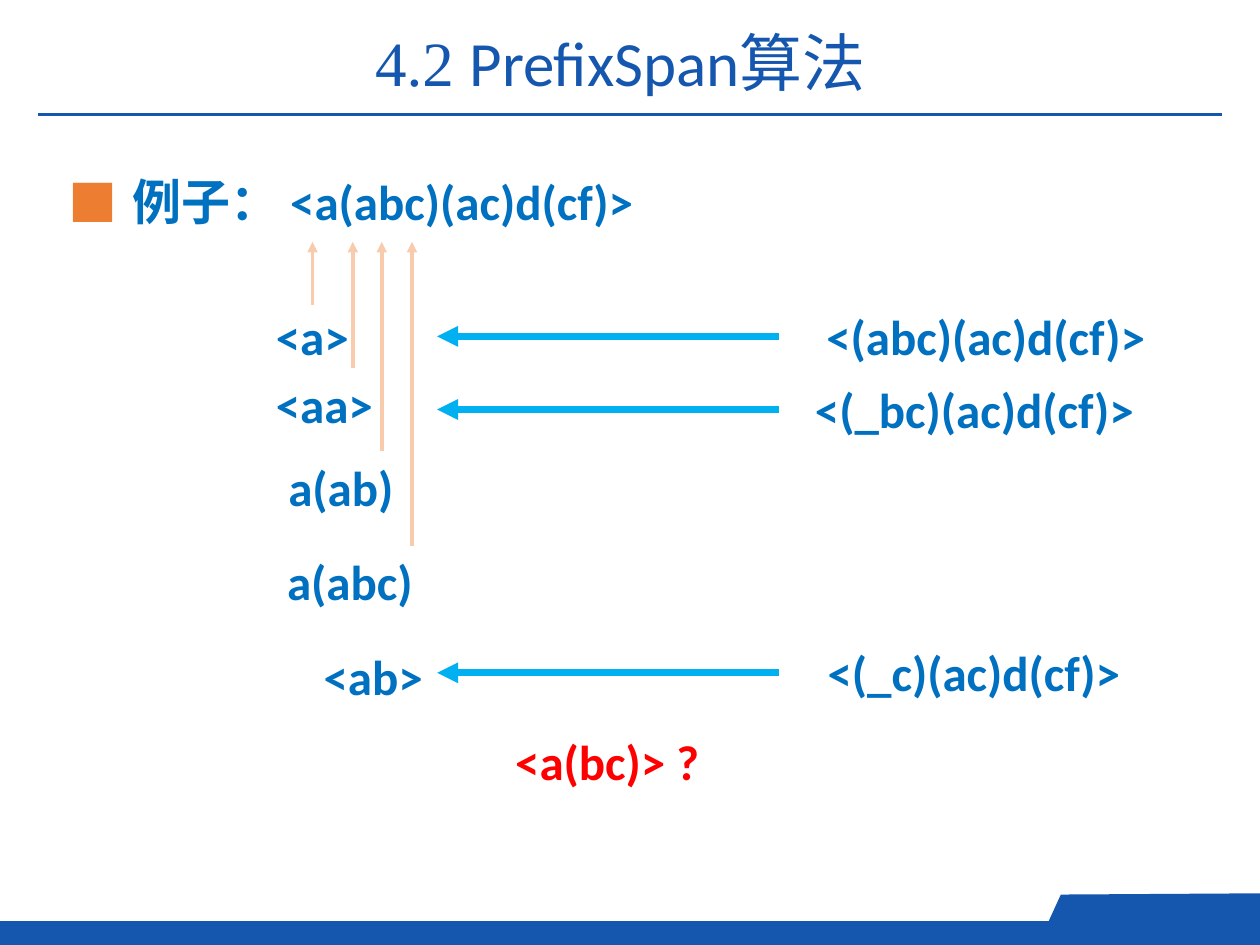
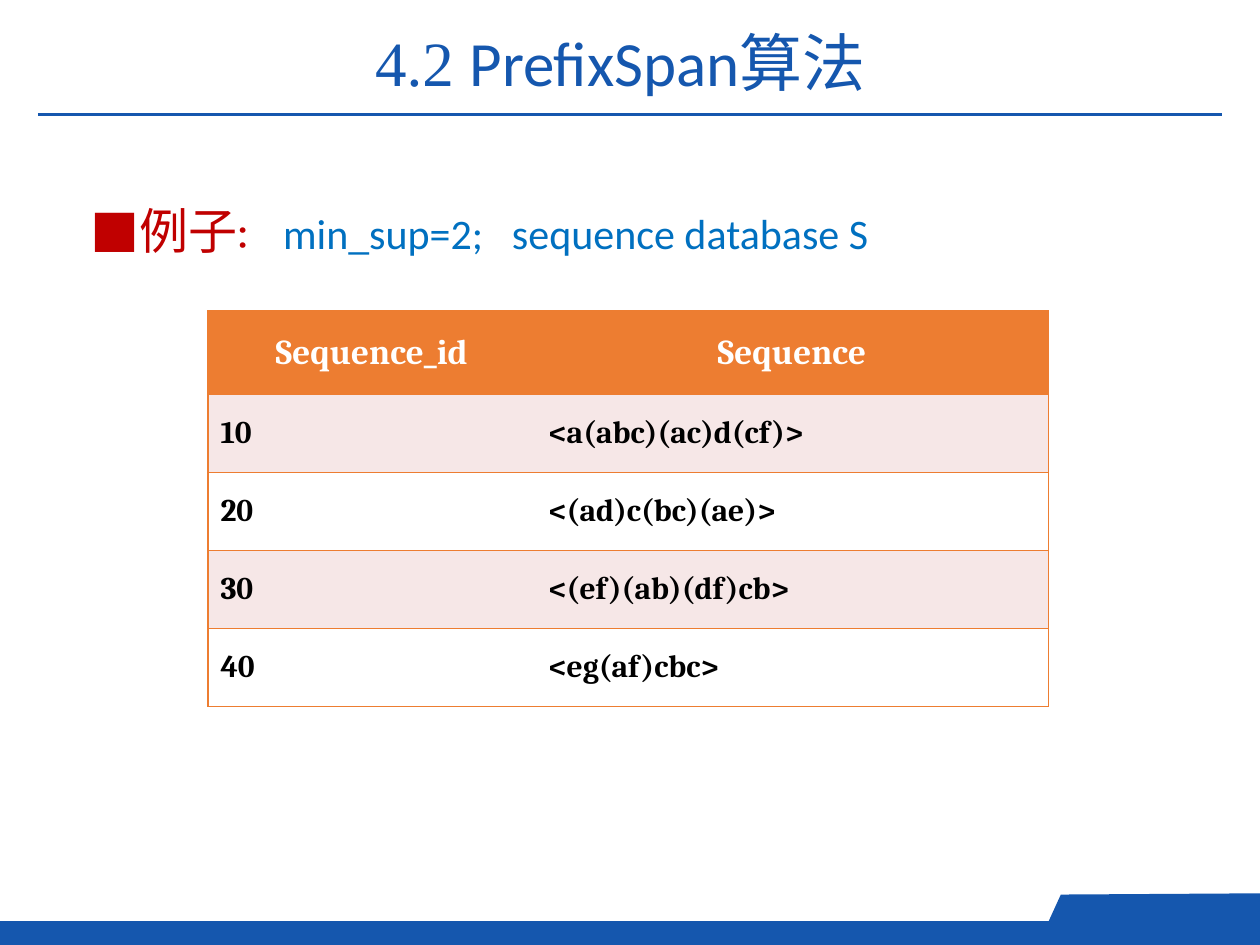
from pptx import Presentation
from pptx.dml.color import RGBColor
from pptx.enum.shapes import MSO_CONNECTOR, MSO_SHAPE
from pptx.enum.text import MSO_ANCHOR, MSO_AUTO_SIZE, PP_ALIGN
from pptx.oxml.ns import qn
from pptx.util import Inches, Pt
from lxml.etree import SubElement

BRAND_BLUE = RGBColor(0x15, 0x57, 0xAE)
TEXT_BLUE = RGBColor(0x00, 0x70, 0xC0)
ARROW_BLUE = RGBColor(0x00, 0xB0, 0xF0)
ORANGE = RGBColor(0xED, 0x7D, 0x31)
PEACH = RGBColor(0xF8, 0xCB, 0xAD)
ROW_PINK = RGBColor(0xF6, 0xE7, 0xE7)
DARK_RED = RGBColor(0xC0, 0x00, 0x00)
RED = RGBColor(0xFF, 0x00, 0x00)
WHITE = RGBColor(0xFF, 0xFF, 0xFF)
BLACK = RGBColor(0x00, 0x00, 0x00)

HAN_FONT = "Noto Sans CJK SC"
SEQUENCES = [
    ("Sequence_id", "Sequence"),
    ("10", "<a(abc)(ac)d(cf)>"),
    ("20", "<(ad)c(bc)(ae)>"),
    ("30", "<(ef)(ab)(df)cb>"),
    ("40", "<eg(af)cbc>"),
]


def style_font(font, name, size, color, bold=False):
    font.name, font.size, font.bold = name, Pt(size), bold
    font.color.rgb = color


def add_run(paragraph, text, name, size, color, bold=False, spacing=0):
    run = paragraph.add_run()
    run.text = text
    style_font(run.font, name, size, color, bold)
    properties = run._r.get_or_add_rPr()
    SubElement(properties, qn("a:ea")).set("typeface", HAN_FONT)
    if spacing:
        properties.set("spc", str(spacing * 100))


def place(part, left, top, width, height):
    part.left, part.top = Inches(left), Inches(top)
    part.width, part.height = Inches(width), Inches(height)


def fill_plain(shape, color):
    shape.shadow.inherit = False
    shape.fill.solid()
    shape.fill.fore_color.rgb = color
    shape.line.fill.background()


def add_line(slide, start, end, color, width, arrow=False):
    line = slide.shapes.add_connector(
        MSO_CONNECTOR.STRAIGHT, *map(Inches, start + end))
    line.line.color.rgb = color
    line.line.width = Pt(width)
    if arrow:
        SubElement(line.line._get_or_add_ln(), qn("a:tailEnd")).set("type", "triangle")
    SubElement(line._element.spPr, qn("a:effectLst"))
    return line


def decorate_layout(layout, slide):
    band = slide.shapes.add_shape(
        MSO_SHAPE.RECTANGLE, 0, Inches(7.31), Inches(10), Inches(0.19))
    builder = slide.shapes.build_freeform(Inches(10), Inches(7.45))
    corners = [(10, 7.09), (8.42, 7.1), (8.26, 7.45)]
    builder.add_line_segments([(Inches(x), Inches(y)) for x, y in corners])
    tab = builder.convert_to_shape()
    for footer in (band, tab):
        fill_plain(footer, BRAND_BLUE)
    rule = add_line(slide, (0.3, 0.91), (9.7, 0.91), BRAND_BLUE, 1.5)
    for part in (band, tab, rule):
        layout.shapes.element.append(part._element)
    place(layout.placeholders[0], 0.91, 0.13, 8.03, 0.71)


def add_title(slide):
    frame = slide.shapes.title.text_frame
    frame.auto_size = MSO_AUTO_SIZE.NONE
    frame.vertical_anchor = MSO_ANCHOR.MIDDLE
    heading = frame.paragraphs[0]
    heading.alignment = PP_ALIGN.CENTER
    for text, name in [("4.2 ", "Times New Roman"), ("PrefixSpan", "Calibri"),
                       ("算法", "Times New Roman")]:
        add_run(heading, text, name, 36, BRAND_BLUE)


def add_example(slide, box, indent, bullet_color, runs, line_spacing=1):
    body = slide.placeholders[1]
    place(body, *box)
    frame = body.text_frame
    frame.auto_size = MSO_AUTO_SIZE.NONE
    frame.vertical_anchor = MSO_ANCHOR.TOP
    example = frame.paragraphs[0]
    example.line_spacing = line_spacing
    properties = example._p.get_or_add_pPr()
    properties.set("marL", str(Inches(indent)))
    properties.set("indent", str(-Inches(indent)))
    bullet = SubElement(properties, qn("a:buClr"))
    SubElement(bullet, qn("a:srgbClr")).set("val", str(bullet_color))
    SubElement(properties, qn("a:buFont")).set("typeface", HAN_FONT)
    SubElement(properties, qn("a:buChar")).set("char", "■")
    for run in runs:
        add_run(example, *run)


def add_label(slide, text, left, top, width, color=TEXT_BLUE):
    label = slide.shapes.add_textbox(
        Inches(left), Inches(top), Inches(width), Inches(0.57))
    label.text_frame.word_wrap = False
    paragraph = label.text_frame.paragraphs[0]
    paragraph.text = text
    style_font(paragraph.font, "Calibri", 28, color, True)


def add_prefixes(slide, left, top):
    for x, length in [(0.39, 0.5), (0.71, 1), (0.94, 1.66), (1.18, 2.41)]:
        add_line(slide, (left + x, top + length), (left + x, top), PEACH, 2, True)
    for text, x, y, width in [
        ("<a>", 0, 0.46, 0.79),
        ("<aa>", 0, 1, 0.98),
        ("a(ab)", 0.1, 1.66, 1.08),
        ("a(abc)", 0.09, 2.41, 1.25),
        ("<ab>", 0.38, 3.16, 1),
    ]:
        add_label(slide, text, left + x, top + y, width)


def add_suffixes(slide, left, top):
    for text, x, y, width in [
        ("<(abc)(ac)d(cf)>", 2.99, 0, 2.77),
        ("<(_bc)(ac)d(cf)>", 2.9, 0.58, 2.77),
        ("<(_c)(ac)d(cf)>", 3, 2.67, 2.56),
    ]:
        arrow_y = top + y + 0.29
        add_line(slide, (left + 2.71, arrow_y), (left, arrow_y), ARROW_BLUE, 4, True)
        add_label(slide, text, left + x, top + y, width)


def set_border(cell, side, color=None):
    border = SubElement(cell._tc.get_or_add_tcPr(), qn(f"a:{side}"))
    if color is None:
        border.set("w", "0")
        SubElement(border, qn("a:noFill"))
    else:
        border.set("w", str(Pt(1)))
        paint = SubElement(border, qn("a:solidFill"))
        SubElement(paint, qn("a:srgbClr")).set("val", str(color))


def add_sequence_table(slide, left, top):
    widths, heights = (2.6, 4.07), (0.66, 0.62, 0.62, 0.62, 0.62)
    table = slide.shapes.add_table(
        len(heights), len(widths), Inches(left), Inches(top),
        Inches(sum(widths)), Inches(sum(heights))).table
    for column, width in zip(table.columns, widths):
        column.width = Inches(width)
    for row, height in zip(table.rows, heights):
        row.height = Inches(height)
    for r, sequence in enumerate(SEQUENCES):
        for c, text in enumerate(sequence):
            cell = table.cell(r, c)
            cell.text = text
            cell.vertical_anchor = MSO_ANCHOR.MIDDLE
            set_border(cell, "lnL", None if c else ORANGE)
            set_border(cell, "lnR", ORANGE if c else None)
            set_border(cell, "lnT", ORANGE)
            set_border(cell, "lnB", ORANGE)
            cell.fill.solid()
            cell.fill.fore_color.rgb = (
                ORANGE if r == 0 else ROW_PINK if r % 2 else WHITE)
            paragraph = cell.text_frame.paragraphs[0]
            paragraph.alignment = PP_ALIGN.LEFT if r else PP_ALIGN.CENTER
            style_font(paragraph.font, "Cambria", 18 if r else 20,
                       BLACK if r else WHITE, True)


def build_projection_slide(slide):
    add_title(slide)
    add_example(slide, (0.44, 1.31, 8.5, 0.5), 0.51, ORANGE, [
        ("例子", HAN_FONT, 28, TEXT_BLUE, True),
        ("： <a(abc)(ac)d(cf)>", "Calibri", 28, TEXT_BLUE, True),
    ])
    add_prefixes(slide, 2.09, 1.92)
    add_suffixes(slide, 3.47, 2.38)
    add_label(slide, "<a(bc)> ?", 3.99, 5.76, 1.68, RED)


def build_database_slide(slide):
    add_title(slide)
    add_example(slide, (0.62, 1.31, 8.75, 0.69), 0.38, DARK_RED, [
        ("例子:", "Karla", 28, DARK_RED),
        (" ", "Karla", 28, DARK_RED, False, 13),
        ("min_sup=2;", "Calibri", 24, TEXT_BLUE),
        (" ", "Calibri", 24, TEXT_BLUE, False, 11),
        ("sequence database S", "Calibri", 24, TEXT_BLUE),
    ], 1.5)
    add_sequence_table(slide, 1.65, 2.47)


def main():
    deck = Presentation()
    deck.slide_width, deck.slide_height = Inches(10), Inches(7.5)
    layout = deck.slide_layouts[1]
    projection = deck.slides.add_slide(layout)
    decorate_layout(layout, projection)
    build_projection_slide(projection)
    build_database_slide(deck.slides.add_slide(layout))
    deck.save("out.pptx")


if __name__ == "__main__":
    main()
